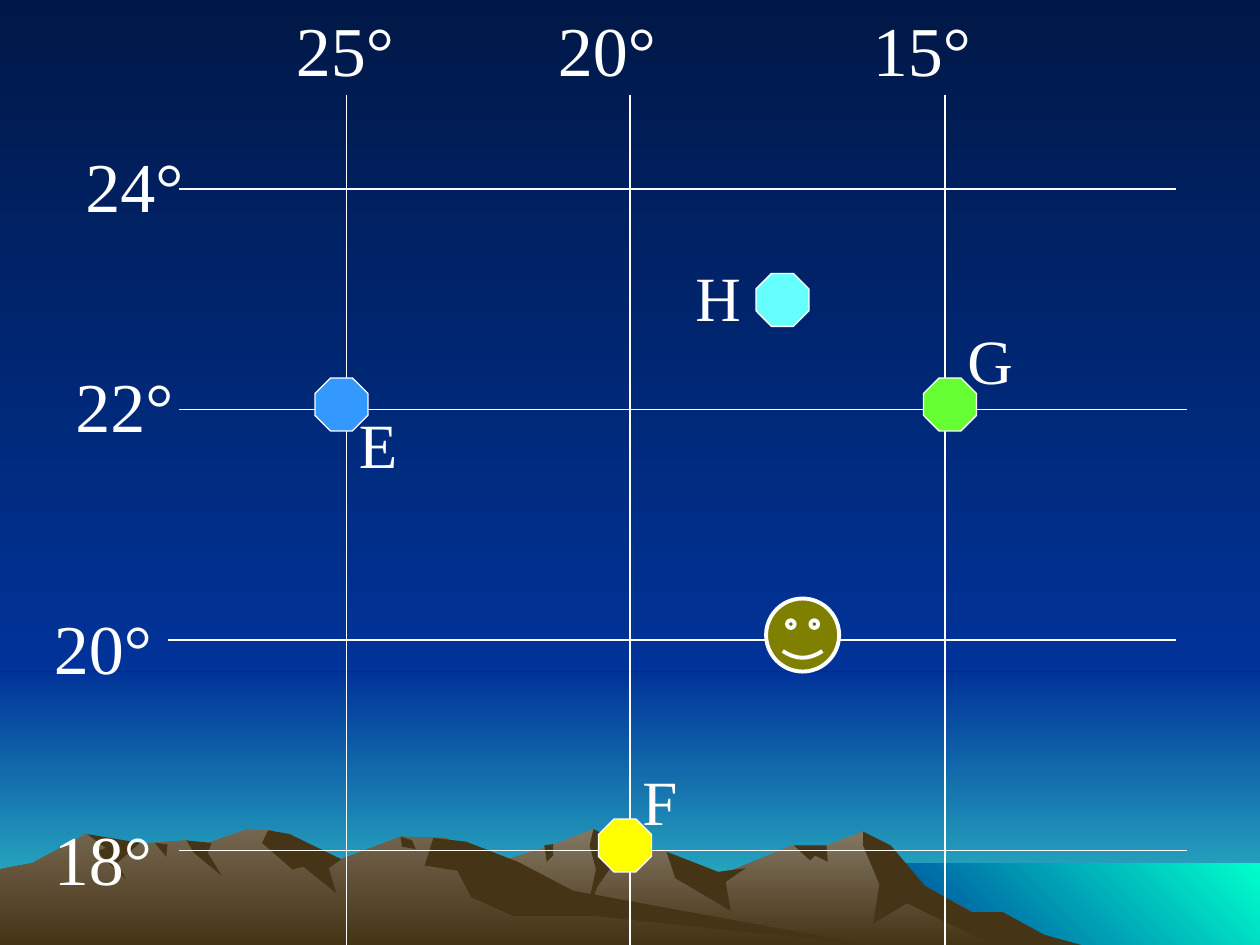
from lxml import etree
from pptx import Presentation
from pptx.dml.color import RGBColor
from pptx.enum.shapes import MSO_CONNECTOR, MSO_SHAPE
from pptx.enum.text import MSO_AUTO_SIZE
from pptx.oxml.ns import qn
from pptx.util import Inches, Pt

STRAIGHT = MSO_CONNECTOR.STRAIGHT
RECTANGLE = MSO_SHAPE.RECTANGLE
OCTAGON = MSO_SHAPE.OCTAGON
SMILEY = MSO_SHAPE.SMILEY_FACE
GROW = MSO_AUTO_SIZE.SHAPE_TO_FIT_TEXT

THEME = {
    "font": "Times New Roman",
    "degree_size": 40,
    "letter_size": 36,
    "thin": 0.75,
    "thick": 2.25,
    "white": "FFFFFF",
    "rock": "463416",
    "night": ("001847", "003399"),
    "dusk": ("003399", "33CCCC"),
    "sea": ("003399", "00FFCC"),
    "far_hills": ("847864", "463416"),
    "near_hills": ("74664F", "463416"),
}
DOWN, UP_RIGHT = 270, 45
WIDTH, HEIGHT = 10, 7.5
HORIZON, SHORE_X, SHORE_Y = 5.33, 6.83, 6.85

# Sky and sea: colours, gradient angle, left, top, bottom (all reach the right edge)
BANDS = [
    ("dusk", DOWN, 0, HORIZON, HEIGHT),
    ("night", DOWN, 0, 0, HORIZON),
    ("sea", UP_RIGHT, SHORE_X, SHORE_Y, HEIGHT),
]

# Ridges and their shaded faces, back to front, in hundredths of an inch
HILLS = [
    ("far_hills", [
        (258, 750), (327, 709), (394, 685), (438, 671), (471, 658), (497, 671), (529, 676),
        (536, 690), (566, 697), (629, 671), (656, 671), (685, 660), (723, 698), (820, 750)]),
    ("rock", [
        (685, 660), (707, 671), (734, 703), (771, 724), (796, 724), (829, 742), (858, 750),
        (788, 750), (720, 717), (693, 733), (698, 702), (685, 671)]),
    ("rock", [(471, 658), (497, 671), (474, 704), (465, 727), (473, 690), (468, 671)]),
    ("rock", [(529, 676), (570, 692), (592, 689), (576, 700), (580, 723), (536, 697)]),
    ("rock", [(630, 671), (656, 671), (657, 684), (647, 679), (643, 683)]),
    ("rock", [(432, 671), (439, 670), (439, 679), (434, 684)]),
    ("near_hills", [
        (0, 750), (0, 690), (26, 685), (68, 662), (94, 671), (148, 667), (160, 671),
        (196, 658), (215, 659), (271, 682), (318, 664), (354, 665), (432, 712), (690, 750)]),
    ("rock", [
        (213, 659), (230, 662), (271, 682), (261, 689), (267, 709), (241, 688), (232, 690),
        (208, 669)]),
    ("rock", [
        (344, 665), (370, 668), (411, 684), (455, 707), (690, 750), (472, 727), (407, 727),
        (374, 712), (363, 691), (337, 687)]),
    ("rock", [(318, 664), (327, 667), (330, 674), (319, 672)]),
    ("rock", [(148, 667), (168, 669), (165, 677), (176, 695), (154, 677)]),
    ("rock", [(123, 669), (133, 670), (132, 680)]),
    ("rock", [(69, 662), (111, 669), (93, 685), (100, 698), (77, 676), (84, 673)]),
]

# Grid: left end, right end and height of rows; x of columns
ROWS = [(1.42, 9.33, 1.5), (1.42, 9.42, 3.25), (1.33, 9.33, 5.08), (1.42, 9.42, 6.75)]
COLUMNS = [2.75, 5, 7.5]
COLUMN_TOP = 0.75

# Labels: text, left, top
DEGREES = [
    ("18°", 0.33, 6.42), ("20°", 0.33, 4.75), ("22°", 0.5, 2.83), ("24°", 0.58, 1.08),
    ("25°", 2.25, 0), ("20°", 4.33, 0), ("15°", 6.83, 0),
]
LETTERS = [("E", 2.75, 3.17), ("F", 5, 6), ("G", 7.58, 2.5), ("H", 5.42, 2)]
DEGREE_BOX = (1.6, 0.77)
LETTER_BOX = (0.58, 0.7)

# Markers: fill, left, top
STARS = [
    ("3399FF", 2.5, 3), ("FFFF00", 4.75, 6.5), ("66FF33", 7.33, 3), ("66FFFF", 6, 2.17),
]
STAR_SIZE = 0.42
FACE = ("808000", 6.08, 4.75)
FACE_SIZE = 0.58


def color(value):
    return RGBColor.from_string(value)


def paint(fill, name):
    fill.solid()
    fill.fore_color.rgb = color(THEME.get(name, name))


def blend(fill, name, angle):
    fill.gradient()
    fill.gradient_angle = angle
    for stop, shade in zip(fill.gradient_stops, THEME[name]):
        stop.color.rgb = color(shade)


def add_band(slide, name, angle, left, top, bottom):
    area = map(Inches, (left, top, WIDTH - left, bottom - top))
    band = slide.shapes.add_shape(RECTANGLE, *area)
    band.shadow.inherit = False
    blend(band.fill, name, angle)
    band.line.fill.background()


def add_hill(slide, name, points):
    builder = slide.shapes.build_freeform(*points[0], scale=Inches(0.01))
    builder.add_line_segments(points[1:], close=True)
    hill = builder.convert_to_shape()
    hill.shadow.inherit = False
    if name == "rock":
        paint(hill.fill, name)
    else:
        blend(hill.fill, name, DOWN)
    hill.line.fill.background()


def draw_white(line, width):
    line.color.rgb = color(THEME["white"])
    line.width = Pt(width)


def add_grid_line(slide, *ends):
    connector = slide.shapes.add_connector(STRAIGHT, *map(Inches, ends))
    draw_white(connector.line, THEME["thin"])
    etree.SubElement(connector._element.spPr, qn("a:effectLst"))


def add_label(slide, size, extent, text, left, top):
    box = slide.shapes.add_textbox(*map(Inches, (left, top, *extent)))
    frame = box.text_frame
    frame.word_wrap = True
    frame.auto_size = GROW
    span = frame.paragraphs[0].add_run()
    span.text = text
    for key, value in {"name": THEME["font"], "size": Pt(size)}.items():
        setattr(span.font, key, value)
    span.font.color.rgb = color(THEME["white"])


def add_marker(slide, kind, size, width, fill, left, top):
    marker = slide.shapes.add_shape(kind, *map(Inches, (left, top, size, size)))
    marker.shadow.inherit = False
    paint(marker.fill, fill)
    draw_white(marker.line, width)


def main():
    deck = Presentation()
    deck.slide_width, deck.slide_height = Inches(WIDTH), Inches(HEIGHT)
    slide = deck.slides.add_slide(deck.slide_layouts[6])
    blend(slide.background.fill, "night", DOWN)

    # Landscape, then the grid over it
    for band in BANDS:
        add_band(slide, *band)
    for hill in HILLS:
        add_hill(slide, *hill)
    for left, right, y in ROWS:
        add_grid_line(slide, left, y, right, y)
    for x in COLUMNS:
        add_grid_line(slide, x, COLUMN_TOP, x, HEIGHT)

    # Labels and markers
    for label in DEGREES:
        add_label(slide, THEME["degree_size"], DEGREE_BOX, *label)
    for star in STARS:
        add_marker(slide, OCTAGON, STAR_SIZE, THEME["thin"], *star)
    for label in LETTERS:
        add_label(slide, THEME["letter_size"], LETTER_BOX, *label)
    add_marker(slide, SMILEY, FACE_SIZE, THEME["thick"], *FACE)

    deck.save("out.pptx")


if __name__ == "__main__":
    main()
